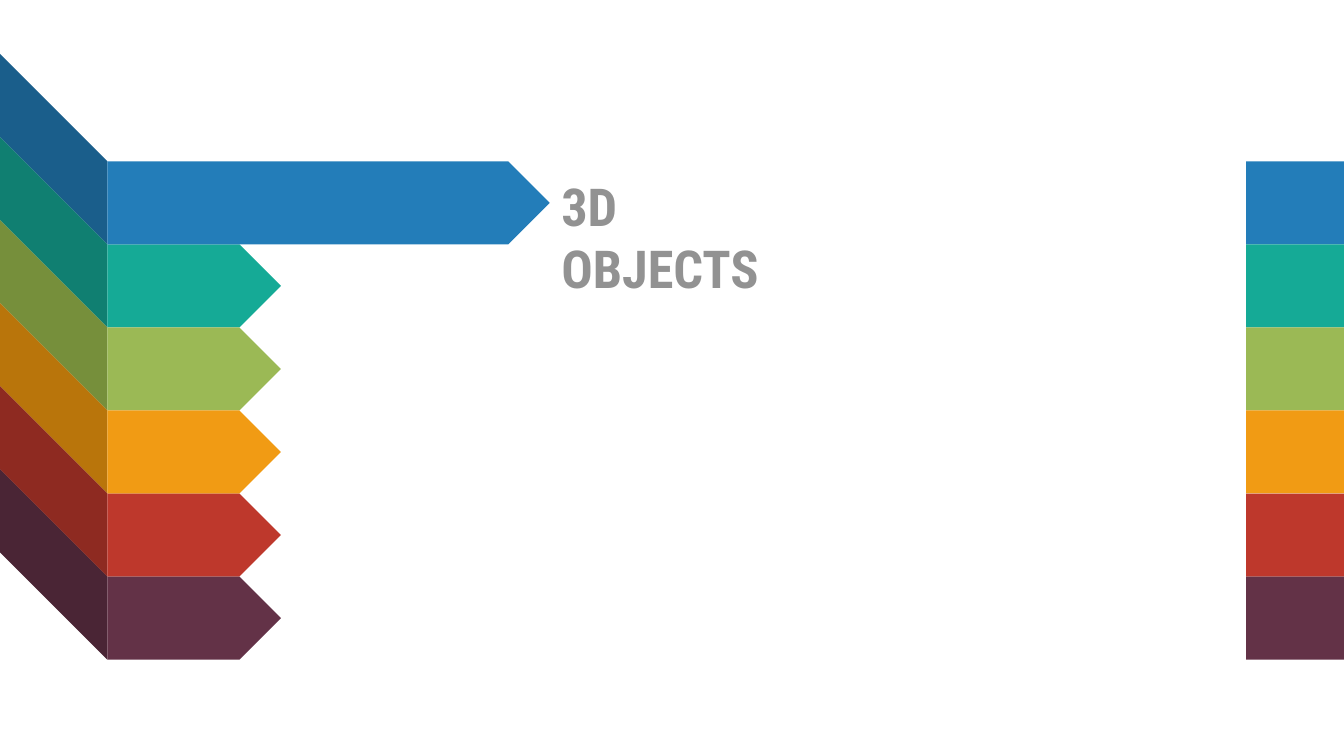
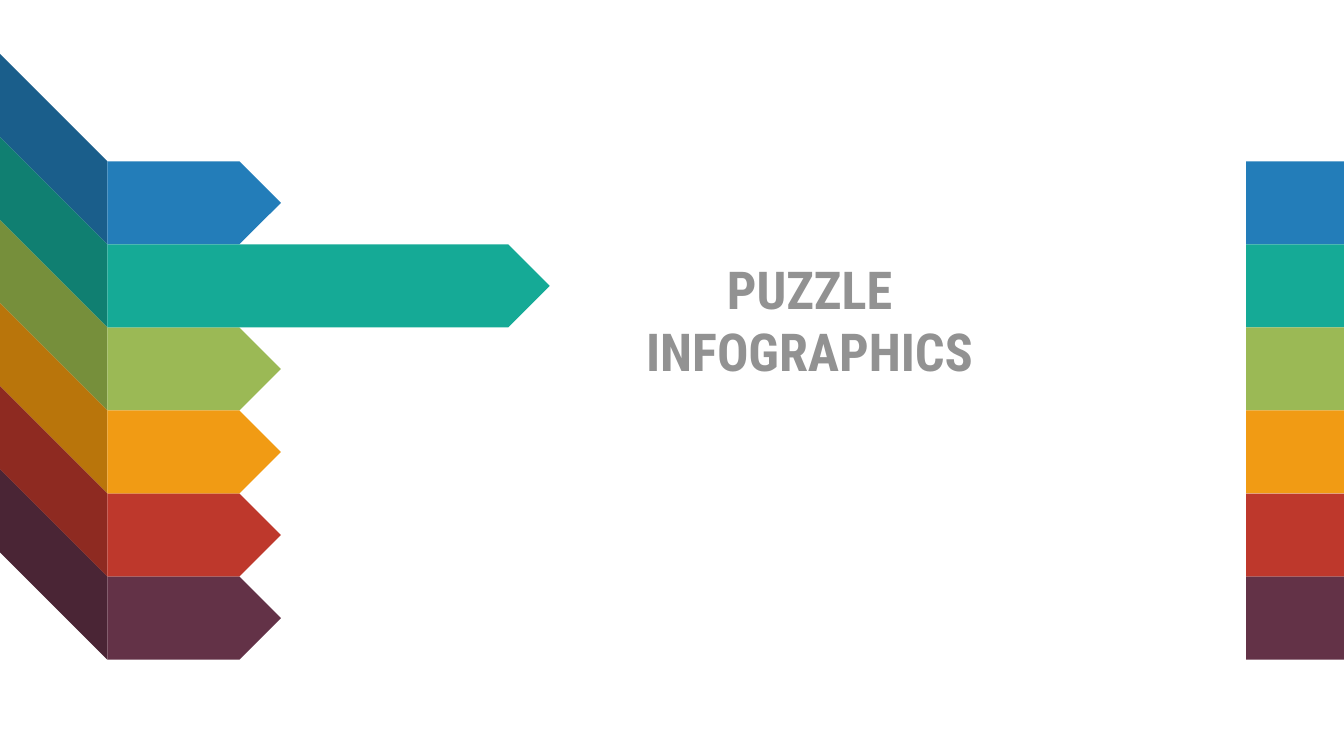
from pptx import Presentation
from pptx import util as u
from pptx.dml.color import RGBColor
from pptx.enum import shapes, text

Cm = u.Cm

# Front and side shade of each band, plus the title colour
HUES = {
    "blue": "237DB9", "teal": "15AA96", "green": "9BB955",
    "orange": "F19B14", "red": "BE382C", "plum": "633247",
    "blue side": "1A5E8B", "teal side": "107F71", "green side": "768F3B",
    "orange side": "B9750B", "red side": "8E2A21", "plum side": "4A2535",
    "title": "929292",
}
BANDS = ["blue", "teal", "green", "orange", "red", "plum"]
FONT = "Roboto Condensed"

# Shared layout, in centimetres
WIDE, HIGH = 25.4, 14.29
TOP, ROW = 3.05, 1.57
FOLD = 2.03
SHORT, LONG = 3.28, 8.36
EDGE = 23.55

# Active band, title, title width, alignment
PAGES = [
    ("blue", "3D OBJECTS", 5.43, text.PP_ALIGN.LEFT),
    ("teal", "PUZZLE INFOGRAPHICS", 9.88, text.PP_ALIGN.CENTER),
]


def paint(shape, hue):
    shape.fill.solid()
    shape.fill.fore_color.rgb = RGBColor.from_string(HUES[hue])
    shape.line.fill.background()
    shape.shadow.inherit = False


def block(slide, kind, box, hue):
    paint(slide.shapes.add_shape(kind, *map(Cm, box)), hue)


def row_top(band):
    return TOP + BANDS.index(band) * ROW


def sides(slide, box):
    """Slanted side faces that run from the slide edge down to the fold."""
    left, top, width, height = box
    for i, band in enumerate(BANDS):
        y = top + i * height
        pen = slide.shapes.build_freeform(Cm(left), Cm(y - width))
        pen.add_line_segments([
            (Cm(left + width), Cm(y)),
            (Cm(left + width), Cm(y + height)),
            (Cm(left), Cm(y + height - width)),
        ], close=True)
        paint(pen.convert_to_shape(), band + " side")


def plates(slide, box, active):
    """Arrow-shaped fronts; the active one is long and lies on top."""
    left, top, width, height = box
    for band in sorted(BANDS, key=lambda name: name == active):
        size = LONG if band == active else width
        y = top + BANDS.index(band) * height
        block(slide, shapes.MSO_SHAPE.PENTAGON, (left, y, size, height), band)


def tabs(slide, box):
    """Colour tabs along the right edge."""
    left, top, width, height = box
    for i, band in enumerate(BANDS):
        block(slide, shapes.MSO_SHAPE.RECTANGLE,
              (left, top + i * height, width, height), band)


def title(slide, box, words, align):
    frame = slide.shapes.add_textbox(*map(Cm, box)).text_frame
    frame.word_wrap = False
    frame.auto_size = text.MSO_AUTO_SIZE.SHAPE_TO_FIT_TEXT
    frame.text = words
    para = frame.paragraphs[0]
    para.alignment = align
    font = para.runs[0].font
    font.name, font.size, font.bold = FONT, u.Pt(28), True
    font.color.rgb = RGBColor.from_string(HUES["title"])


def page(deck, active, words, width, align):
    slide = deck.slides.add_slide(deck.slide_layouts[6])
    sides(slide, (0, TOP, FOLD, ROW))
    plates(slide, (FOLD, TOP, SHORT, ROW), active)
    tabs(slide, (EDGE, TOP, WIDE - EDGE, ROW))
    title(slide, (FOLD + LONG - 0.03, row_top(active) + 0.11, width, 1.45),
          words, align)


def main():
    deck = Presentation()
    deck.slide_width, deck.slide_height = Cm(WIDE), Cm(HIGH)
    for item in PAGES:
        page(deck, *item)
    deck.save("out.pptx")


if __name__ == "__main__":
    main()
